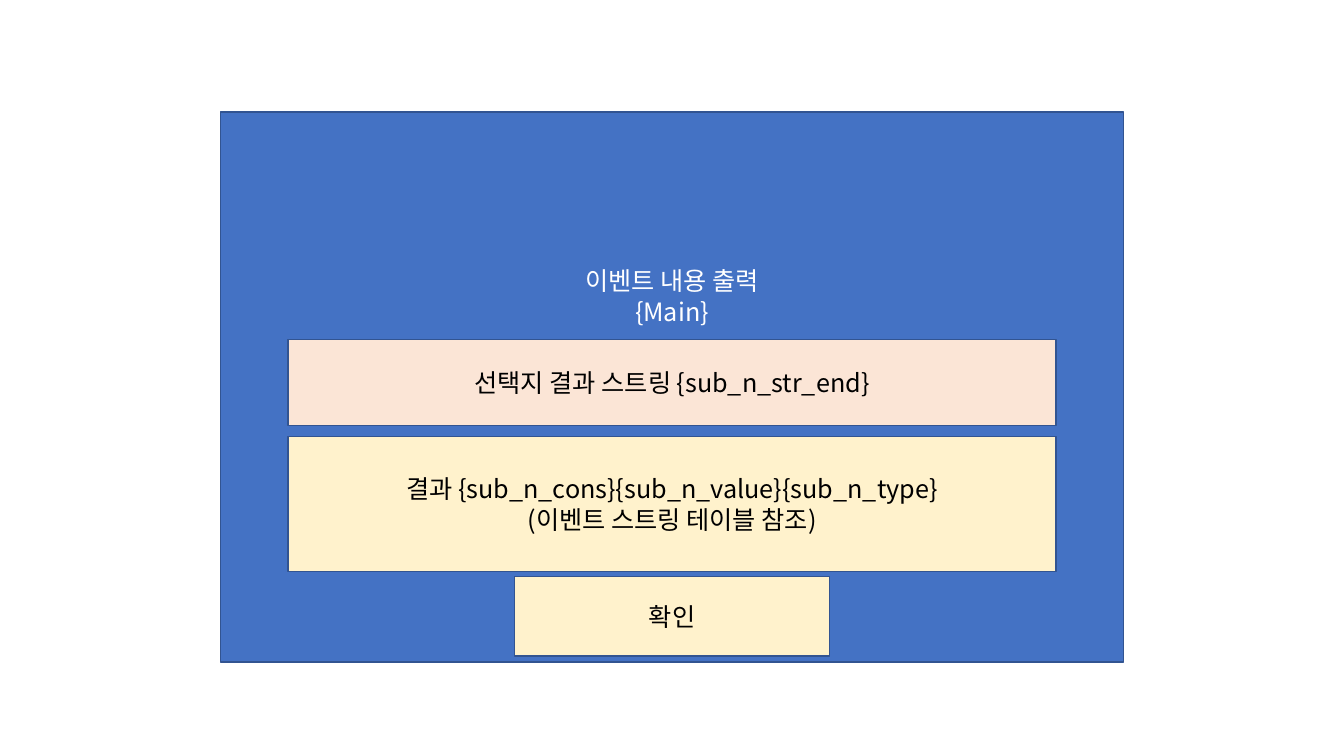
from dataclasses import dataclass

from lxml.etree import SubElement
from pptx import Presentation
from pptx.dml.color import RGBColor
from pptx.enum.shapes import MSO_SHAPE as Shape
from pptx.enum.text import MSO_ANCHOR as Anchor, PP_ALIGN as Align
from pptx.oxml.ns import qn
from pptx.util import Inches, Pt


@dataclass(frozen=True)
class Theme:
    """Colours, font and sizes of the slide."""
    panel: str = "4472C4"
    message: str = "FBE5D6"
    result: str = "FFF2CC"
    border: str = "325491"
    light: str = "FFFFFF"
    dark: str = "000000"
    font: str = "Noto Sans CJK KR"
    text_size: int = 18
    border_width: int = 1


@dataclass(frozen=True)
class Box:
    """A rectangle in slide units."""
    left: int
    top: int
    width: int
    height: int

    def centred(self, top, width, height):
        """Return a horizontally centred box, given in percent of this one."""
        inner_width = int(self.width * width / 100)
        return Box(self.left + (self.width - inner_width) // 2,
                   self.top + int(self.height * top / 100),
                   inner_width, int(self.height * height / 100))


THEME = Theme()


def add_block(slide, box, lines, fill, color):
    """Add a bordered rectangle with centred lines of text."""
    shape = slide.shapes.add_shape(
        Shape.RECTANGLE, box.left, box.top, box.width, box.height)
    shape.shadow.inherit = False
    shape.fill.solid()
    shape.fill.fore_color.rgb = RGBColor.from_string(fill)
    shape.line.color.rgb = RGBColor.from_string(THEME.border)
    shape.line.width = Pt(THEME.border_width)
    frame = shape.text_frame
    frame.word_wrap = True
    frame.vertical_anchor = Anchor.MIDDLE
    frame.text = "\n".join(lines)
    for paragraph in frame.paragraphs:
        paragraph.alignment = Align.CENTER
        font = paragraph.font
        font.size = Pt(THEME.text_size)
        font.color.rgb = RGBColor.from_string(color)
        font.name = THEME.font
        defaults = paragraph._p.pPr.find(qn("a:defRPr"))
        SubElement(defaults, qn("a:ea"), typeface=THEME.font)
    return shape


def add_event_panel(slide, box):
    """Add the event panel with its message, result and confirm button."""
    panel = add_block(slide, box, ["이벤트 내용 출력", "{Main}"],
                      THEME.panel, THEME.light)
    panel.text_frame.margin_bottom = int(box.height * 0.34)

    blocks = [
        (box.centred(41.39, 85.04, 15.57), THEME.message,
         ["선택지 결과 스트링 {sub_n_str_end}"]),
        (box.centred(58.97, 85.04, 24.54), THEME.result,
         ["결과 {sub_n_cons}{sub_n_value}{sub_n_type}",
          "(이벤트 스트링 테이블 참조)"]),
        (box.centred(84.43, 34.82, 14.47), THEME.result, ["확인"]),
    ]
    for block_box, fill, lines in blocks:
        add_block(slide, block_box, lines, fill, THEME.dark)


def main():
    """Build and save the presentation."""
    presentation = Presentation()
    presentation.slide_width = Inches(13.33)
    presentation.slide_height = Inches(7.5)
    slide = presentation.slides.add_slide(presentation.slide_layouts[6])
    page = Box(0, 0, presentation.slide_width, presentation.slide_height)
    add_event_panel(slide, page.centred(14.8, 67.22, 72.8))
    presentation.save("out.pptx")


main()
